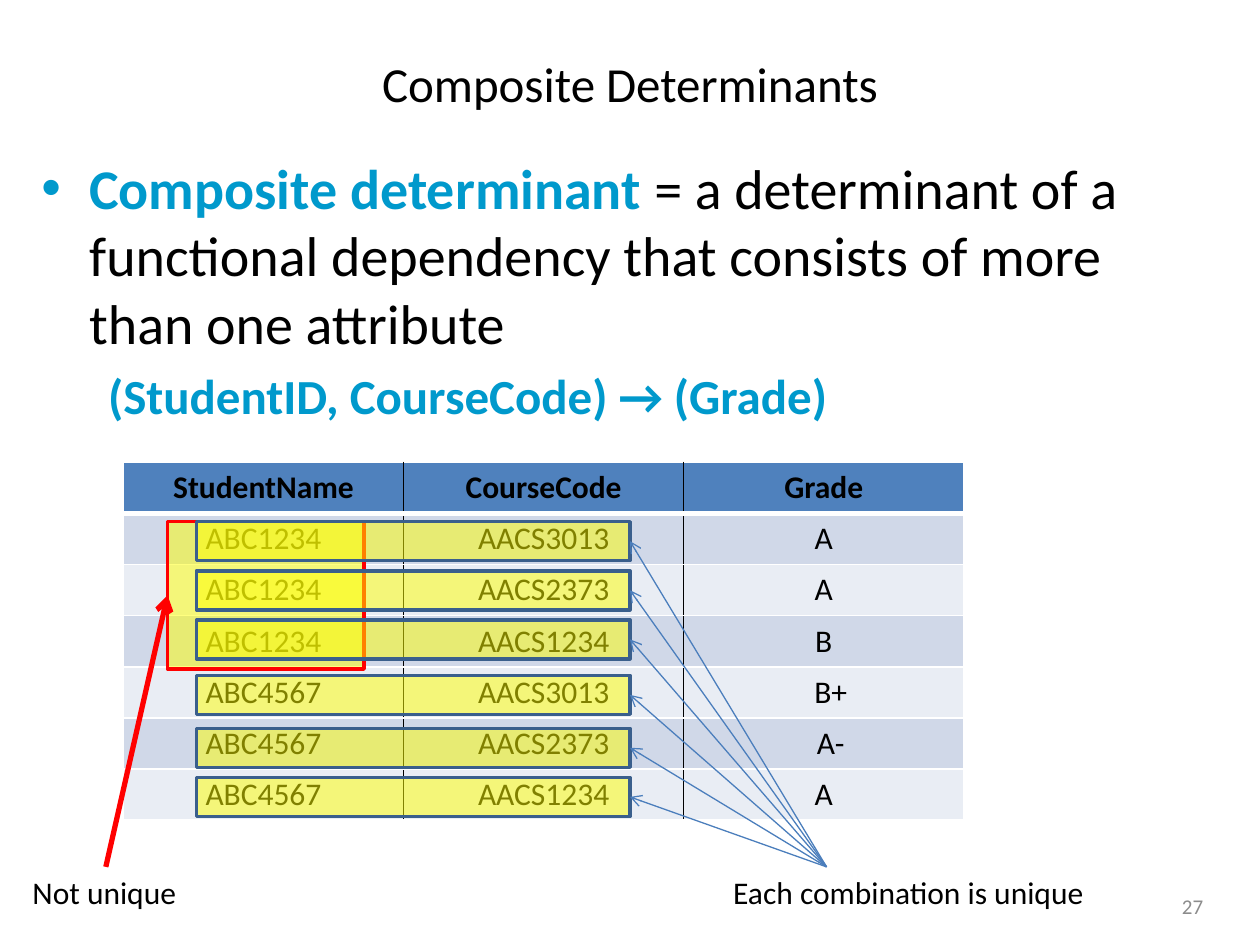
from dataclasses import dataclass

from lxml.etree import SubElement
from pptx import Presentation
from pptx.dml.color import RGBColor
from pptx.enum.shapes import MSO_CONNECTOR as Connector, MSO_SHAPE as Preset
from pptx.enum.text import MSO_ANCHOR as Anchor, MSO_AUTO_SIZE as AutoSize, PP_ALIGN as Align
from pptx.oxml.ns import qn
from pptx.util import Inches, Pt


@dataclass(frozen=True)
class Theme:
    """Colours, font and type sizes of the slide."""
    font: str = "Calibri"
    ink: str = "000000"
    paper: str = "FFFFFF"
    accent: str = "0099CC"
    header: str = "4F81BD"
    bands: tuple = ("D0D8E8", "E9EDF4")
    marker: str = "FFFF00"
    warning: str = "FF0000"
    outline: str = "3A5F8C"
    arrow: str = "4B7EBC"
    muted: str = "8C8C8C"
    title_size: int = 28
    body_size: int = 32
    formula_size: int = 28
    label_size: int = 18
    number_size: int = 12


THEME = Theme()
ROWS = [
    ("StudentName", "CourseCode", "Grade"),
    ("ABC1234", "AACS3013", "A"),
    ("ABC1234", "AACS2373", "A"),
    ("ABC1234", "AACS1234", "B"),
    ("ABC4567", "AACS3013", "B+"),
    ("ABC4567", "AACS2373", "A-"),
    ("ABC4567", "AACS1234", "A"),
]
PAIR_TOPS = (4.14, 4.53, 4.92, 5.36, 5.78, 6.17)


def rgb(value):
    """Return the colour object of a hex value."""
    return RGBColor.from_string(value)


def add_run(paragraph, text, size, color=THEME.ink, bold=False):
    """Add one formatted run to a paragraph."""
    run = paragraph.add_run()
    run.text = text
    run.font.name = THEME.font
    run.font.size = Pt(size)
    run.font.bold = bold
    run.font.color.rgb = rgb(color)


def set_indent(paragraph, margin, first=0):
    """Set the left margin and first-line indent of a paragraph."""
    properties = paragraph._p.get_or_add_pPr()
    properties.set("marL", str(Inches(margin)))
    properties.set("indent", str(Inches(first)))
    return properties


def add_text_frame(slide, box, anchor=Anchor.TOP):
    """Add a wrapping text box and return its shape and frame."""
    shape = slide.shapes.add_textbox(*map(Inches, box))
    frame = shape.text_frame
    frame.word_wrap = True
    frame.vertical_anchor = anchor
    return shape, frame


def add_centred_line(slide, box, text, size, color=THEME.ink):
    """Place one line of text in the middle of a box."""
    _, frame = add_text_frame(slide, box, Anchor.MIDDLE)
    paragraph = frame.paragraphs[0]
    paragraph.alignment = Align.CENTER
    add_run(paragraph, text, size, color)


def add_definition(slide, box):
    """Place the bulleted definition and the dependency below it."""
    _, frame = add_text_frame(slide, box)
    definition = frame.paragraphs[0]
    properties = set_indent(definition, 0.38, -0.38)
    SubElement(properties, qn("a:buFont"), typeface="Arial")
    SubElement(properties, qn("a:buChar"), char="•")
    add_run(definition, "Composite determinant ", THEME.body_size, THEME.accent, True)
    add_run(definition, "= a determinant of a functional dependency that consists of "
            "more than one attribute", THEME.body_size)
    formula = frame.add_paragraph()
    set_indent(formula, 0.53)
    formula.space_before = Pt(6)
    add_run(formula, "(StudentID, CourseCode) → (Grade)",
            THEME.formula_size, THEME.accent, True)


def set_border(cell, side, color, width):
    """Draw one border of a table cell."""
    line = SubElement(cell._tc.get_or_add_tcPr(), qn(f"a:ln{side}"), w=str(Pt(width)))
    fill = SubElement(line, qn("a:solidFill"))
    SubElement(fill, qn("a:srgbClr"), val=color)


def add_grades(slide, box):
    """Place the table of grades in a box."""
    left, top, width, height = map(Inches, box)
    last = len(ROWS[0]) - 1
    table = slide.shapes.add_table(len(ROWS), last + 1, left, top, width, height).table
    for row in table.rows:
        row.height = height // len(ROWS)
    for r, values in enumerate(ROWS):
        for c, value in enumerate(values):
            cell = table.cell(r, c)
            set_border(cell, "L", THEME.ink if c else THEME.paper, 1)
            set_border(cell, "R", THEME.ink if c < last else THEME.paper, 1)
            set_border(cell, "T", THEME.paper, 3 if r == 1 else 1)
            set_border(cell, "B", THEME.paper, 3 if r == 0 else 1)
            cell.fill.solid()
            cell.fill.fore_color.rgb = rgb(THEME.bands[(r - 1) % 2] if r else THEME.header)
            paragraph = cell.text_frame.paragraphs[0]
            paragraph.alignment = Align.CENTER
            if value in ("B+", "A-"):
                set_indent(paragraph, 0.11)
            add_run(paragraph, value, THEME.label_size, bold=r == 0)


def add_highlight(slide, box, color):
    """Place a half-transparent marker rectangle."""
    shape = slide.shapes.add_shape(Preset.RECTANGLE, *map(Inches, box))
    shape.shadow.inherit = False
    shape.fill.solid()
    shape.fill.fore_color.rgb = rgb(THEME.marker)
    marker = shape.element.spPr.find(f"{qn('a:solidFill')}/{qn('a:srgbClr')}")
    SubElement(marker, qn("a:alpha"), val="50000")
    shape.line.color.rgb = rgb(color)
    shape.line.width = Pt(2)
    return shape


def add_label(slide, box, text):
    """Place a one-line label that fits its text."""
    shape, frame = add_text_frame(slide, box)
    frame.word_wrap = False
    frame.auto_size = AutoSize.SHAPE_TO_FIT_TEXT
    add_run(frame.paragraphs[0], text, THEME.label_size)
    return shape


def add_arrow(slide, start, target, site, color, width):
    """Draw an arrow from a point to a connection site of a shape."""
    x, y = map(Inches, start)
    arrow = slide.shapes.add_connector(Connector.STRAIGHT, x, y, x, y)
    arrow.end_connect(target, site)
    arrow.line.color.rgb = rgb(color)
    arrow.line.width = Pt(width)
    properties = arrow.element.spPr
    SubElement(properties.find(qn("a:ln")), qn("a:tailEnd"), type="arrow")
    SubElement(properties, qn("a:effectLst"))
    return arrow


def add_repeated_mark(slide, box):
    """Mark the repeated student and point its label at it."""
    target = add_highlight(slide, box, THEME.warning)
    label = add_label(slide, (0.16, 6.88, 1.36, 0.4), "Not unique")
    arrow = add_arrow(slide, (0.84, 6.88), target, 1, THEME.warning, 3)
    arrow.begin_connect(label, 0)


def add_pair_marks(slide, left, width, height):
    """Mark each student and course pair and point the label at them."""
    pairs = [add_highlight(slide, (left, top, width, height), THEME.outline)
             for top in reversed(PAIR_TOPS)]
    add_label(slide, (5.72, 6.88, 3.02, 0.4), "Each combination is unique")
    for pair in pairs:
        add_arrow(slide, (6.56, 6.88), pair, 3, THEME.arrow, 0.75)


def main():
    """Build the slide and save it."""
    presentation = Presentation()
    presentation.slide_width, presentation.slide_height = Inches(10), Inches(7.5)
    slide = presentation.slides.add_slide(presentation.slide_layouts[6])
    add_centred_line(slide, (0.5, 0.3, 9, 0.72), "Composite Determinants", THEME.title_size)
    add_definition(slide, (0.23, 1.17, 9.53, 2.34))
    add_centred_line(slide, (9.17, 7.03, 0.59, 0.32), "27", THEME.number_size, THEME.muted)
    add_grades(slide, (0.98, 3.67, 6.67, 2.84))
    add_repeated_mark(slide, (1.33, 4.14, 1.56, 1.17))
    add_pair_marks(slide, 1.56, 3.44, 0.31)
    presentation.save("out.pptx")


if __name__ == "__main__":
    main()
